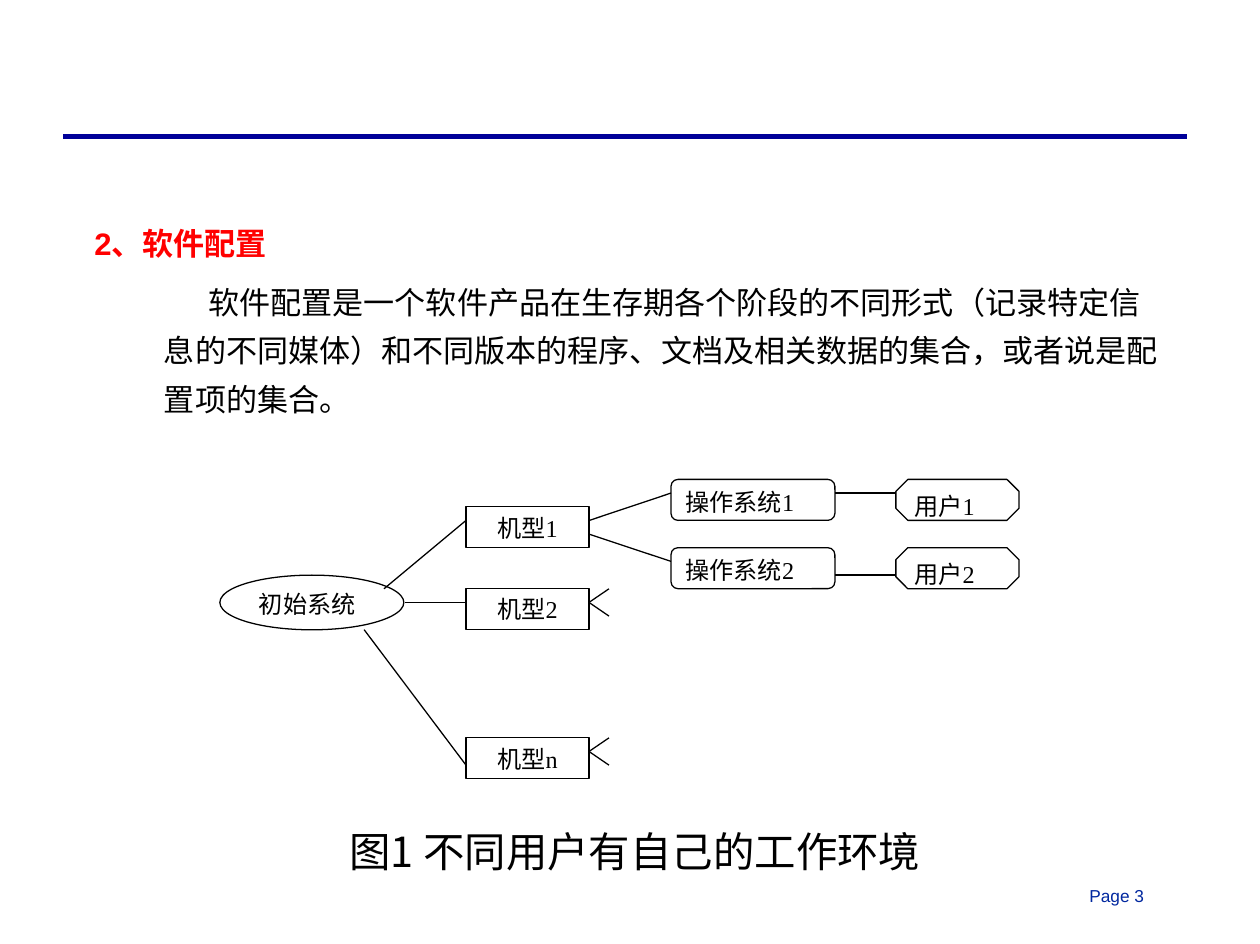
from lxml import etree
from pptx import Presentation
from pptx import util as u
from pptx.dml.color import RGBColor
from pptx.enum import shapes, text
from pptx.oxml.ns import qn

SHAPE = shapes.MSO_SHAPE
ALIGN = text.PP_ALIGN
CHINESE_FONT = "Noto Sans CJK SC"


def colour(value):
    """Turn a hex string into a colour."""
    return RGBColor.from_string(value)


def apply(target, values):
    """Set every attribute named in values on target."""
    for name, value in values.items():
        setattr(target, name, value)


class SlideBuilder:
    """Hold the style and the current slide, and add elements in points."""

    def __init__(self, slide):
        self.slide = slide
        self.ink = "000000"
        self.paper = "FFFFFF"
        self.line_width = 0.75
        self.label_font = "Times New Roman"
        self.label_size = 14
        self.frame_format = {
            "word_wrap": True,
            "auto_size": text.MSO_AUTO_SIZE.NONE,
            "vertical_anchor": text.MSO_ANCHOR.TOP,
            "margin_left": u.Pt(7.2),
            "margin_right": u.Pt(7.2),
            "margin_top": u.Pt(3.6),
            "margin_bottom": u.Pt(3.6),
        }

    def add_words(self, paragraph, words, font, size, ink, bold=False, **layout):
        """Fill one paragraph with a formatted run."""
        apply(paragraph, layout)
        run = paragraph.add_run()
        run.text = words
        apply(run.font, {"name": font, "size": u.Pt(size), "bold": bold})
        run.font.color.rgb = colour(ink)
        east_asian = etree.SubElement(run.font._element, qn("a:ea"))
        east_asian.set("typeface", CHINESE_FONT)

    def body(self, left, top, width, height, paragraphs):
        """Place the body placeholder and fill its paragraphs."""
        placeholder = self.slide.placeholders[1]
        apply(placeholder, {"left": u.Pt(left), "top": u.Pt(top),
                            "width": u.Pt(width), "height": u.Pt(height)})
        frame = placeholder.text_frame
        apply(frame, self.frame_format)
        for index, (margin, indent, values) in enumerate(paragraphs):
            paragraph = frame.add_paragraph() if index else frame.paragraphs[0]
            self.add_words(paragraph, font="Arial", size=18, line_spacing=1.3,
                           space_after=u.Pt(4), **values)
            properties = paragraph._p.get_or_add_pPr()
            properties.set("marL", str(u.Pt(margin)))
            properties.set("indent", str(u.Pt(indent)))
            etree.SubElement(properties, qn("a:buNone"))

    def text_box(self, left, top, width, height, words, font, size, ink, alignment):
        """Add a text box with one paragraph."""
        box = self.slide.shapes.add_textbox(*map(u.Pt, (left, top, width, height)))
        apply(box.text_frame, self.frame_format)
        self.add_words(box.text_frame.paragraphs[0], words, font, size, ink,
                       alignment=alignment)

    def node(self, kind, left, top, width, height, words,
             alignment=ALIGN.JUSTIFY, adjustment=None):
        """Add an outlined shape with a label."""
        shape = self.slide.shapes.add_shape(kind, *map(u.Pt, (left, top, width, height)))
        shape.shadow.inherit = False
        shape.fill.solid()
        shape.fill.fore_color.rgb = colour(self.paper)
        shape.line.color.rgb = colour(self.ink)
        shape.line.width = u.Pt(self.line_width)
        if adjustment is not None:
            shape.adjustments[0] = adjustment
        apply(shape.text_frame, self.frame_format)
        self.add_words(shape.text_frame.paragraphs[0], words, self.label_font,
                       self.label_size, self.ink, alignment=alignment)

    def line(self, x1, y1, x2, y2, ink=None, width=None):
        """Add a straight line."""
        connector = self.slide.shapes.add_connector(
            shapes.MSO_CONNECTOR.STRAIGHT, *map(u.Pt, (x1, y1, x2, y2)))
        connector.line.color.rgb = colour(ink or self.ink)
        connector.line.width = u.Pt(width or self.line_width)
        etree.SubElement(connector._element.spPr, qn("a:effectLst"))


def main():
    """Build and save the slide."""
    presentation = Presentation()
    apply(presentation, {"slide_width": u.Pt(730.08), "slide_height": u.Pt(547.2)})
    slide = presentation.slides.add_slide(presentation.slide_layouts[1])
    title = slide.shapes.title._element
    title.getparent().remove(title)
    builder = SlideBuilder(slide)

    builder.line(36.7, 79.2, 687.6, 79.2, "000099", 3)
    builder.text_box(624.2, 509.8, 54, 19.4, "Page 3", "Arial", 10, "00279F", ALIGN.LEFT)
    builder.body(47.5, 120.2, 632.9, 133.9, [
        (0, 0, {"words": "2、软件配置", "ink": "FF0000", "bold": True,
                "space_before": u.Pt(12.1)}),
        (40.3, 25.8, {"words": "软件配置是一个软件产品在生存期各个阶段的不同形式（记录特定信息的不同媒体）"
                               "和不同版本的程序、文档及相关数据的集合，或者说是配置项的集合。",
                      "ink": "000000", "level": 1, "space_before": u.Pt(2)}),
    ])

    step = 7.92
    height = 3 * step
    model_left, model_width = 270, 71.3
    model_right = model_left + model_width
    system_left, system_width = 388.8, 95
    user_left = 519.1
    model_tops = {"1": 293.8, "2": 341.3, "n": 427.7}

    builder.node(SHAPE.OVAL, 127.4, 333.4, 106.6, 4 * step, "初始系统")
    for name, top in model_tops.items():
        builder.node(SHAPE.RECTANGLE, model_left, top, model_width, height,
                     f"机型{name}", ALIGN.CENTER)
    for start_x, start_y, end_y in ((234.4, 349.2, 349.2), (222.5, 341.3, 301.7),
                                    (211, 365, 443.5)):
        builder.line(start_x, start_y, model_left, end_y)

    for index, link_offset in enumerate((step, 2 * step)):
        top = 277.9 + index * 5 * step
        builder.node(SHAPE.ROUNDED_RECTANGLE, system_left, top, system_width, height,
                     f"操作系统{index + 1}", adjustment=0.17)
        builder.node(SHAPE.OCTAGON, user_left, top, model_width, height,
                     f"用户{index + 1}", adjustment=0.29)
        builder.line(model_right, model_tops["1"] + link_offset, system_left, top + step)
        builder.line(system_left + system_width, top + link_offset,
                     user_left, top + link_offset)

    for name in ("2", "n"):
        fork = model_tops[name] + step
        for end_y in (fork - step, fork + step):
            builder.line(model_right, fork, 352.9, end_y)

    builder.text_box(126.7, 475.2, 482.4, 36, "图1 不同用户有自己的工作环境",
                     CHINESE_FONT, 24, "000000", ALIGN.CENTER)
    presentation.save("out.pptx")


if __name__ == "__main__":
    main()
